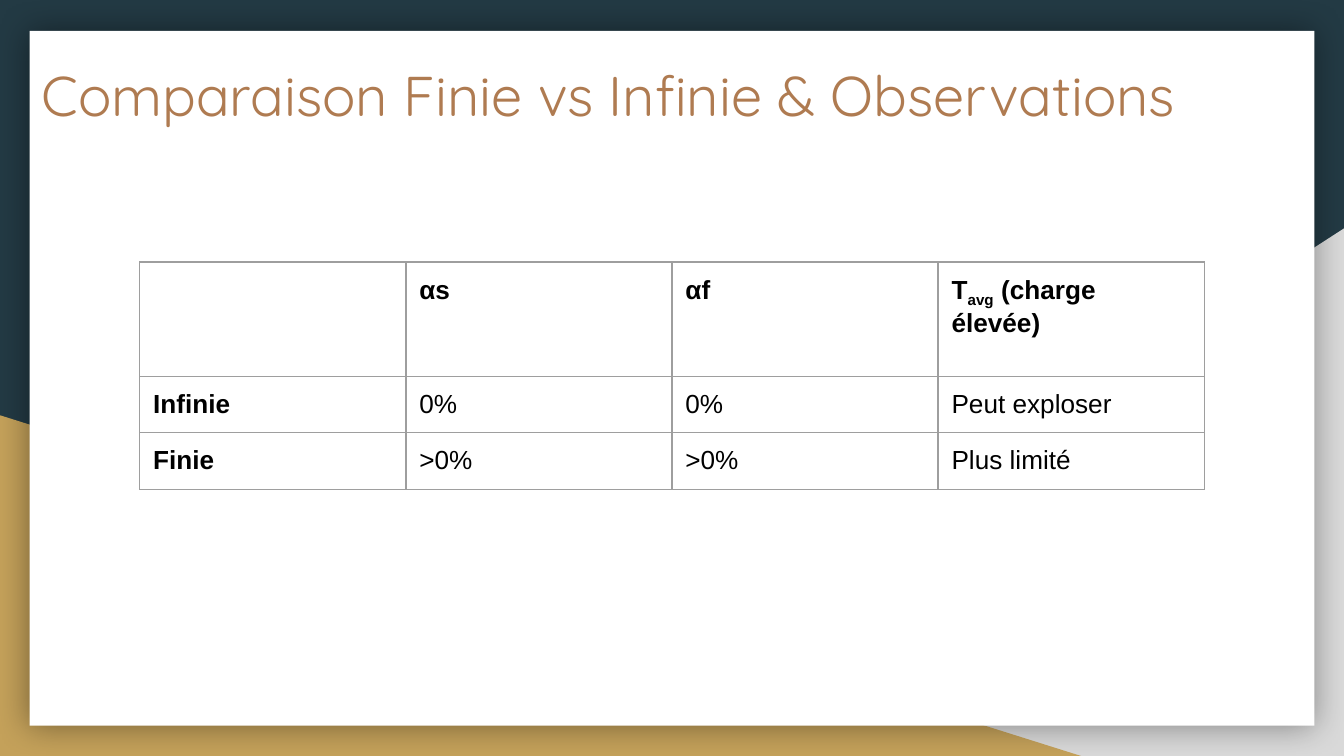
import pptx
import pptx.dml.color
import pptx.enum.shapes
import pptx.enum.text
import pptx.oxml
import pptx.oxml.ns
import pptx.util
from dataclasses import dataclass
from pptx.util import Inches

SHAPE = pptx.enum.shapes.MSO_SHAPE
NS = pptx.oxml.ns.nsdecls("a")


@dataclass(frozen=True)
class Theme:
    navy: str = "233A44"
    grey: str = "D9D9D9"
    gold: str = "C4A15A"
    white: str = "FFFFFF"
    brown: str = "AF7B51"
    black: str = "000000"
    rule: str = "9E9E9E"
    head: str = "Quicksand"
    body: str = "Arial"
    big: int = 30
    small: int = 14


THEME = Theme()

# Each cell is a list of runs: (text, bold, baseline in thousandths)
ROWS = [
    [[], [("αs", True, 0)], [("αf", True, 0)],
     [("T", True, 0), ("avg", True, -25000), (" (charge élevée)", True, 0)]],
    [[("Infinie", True, 0)], [("0%", False, 0)], [("0%", False, 0)],
     [("Peut exploser", False, 0)]],
    [[("Finie", True, 0)], [(">0%", False, 0)], [(">0%", False, 0)],
     [("Plus limité", False, 0)]],
]


def rgb(code):
    return pptx.dml.color.RGBColor.from_string(code)


def add_run(para, text, face, size, color, bold=False, base=0):
    run = para.add_run()
    run.text = text
    run.font.name = face
    run.font.size = pptx.util.Pt(size)
    run.font.bold = bold
    run.font.color.rgb = rgb(color)
    if base:
        run.font._element.set("baseline", str(base))


def add_block(slide, kind, left, top, width, height, color):
    block = slide.shapes.add_shape(
        kind, Inches(left), Inches(top), Inches(width), Inches(height))
    block.shadow.inherit = False
    block.fill.solid()
    block.fill.fore_color.rgb = rgb(color)
    block.line.fill.background()
    return block


def add_glow(block, blur, alpha):
    """Give the block a soft shadow on all sides."""
    effects = block._element.spPr.find(pptx.oxml.ns.qn("a:effectLst"))
    effects.append(pptx.oxml.parse_xml(
        f'<a:outerShdw {NS} blurRad="{pptx.util.Pt(blur)}" dist="0" '
        f'algn="ctr" rotWithShape="0"><a:srgbClr val="{THEME.black}">'
        f'<a:alpha val="{alpha * 1000}"/></a:srgbClr></a:outerShdw>'))


def add_back(slide):
    slide.background.fill.solid()
    slide.background.fill.fore_color.rgb = rgb(THEME.navy)
    wedge = add_block(slide, SHAPE.RIGHT_TRIANGLE,
                      3.92, 1.7, 6.08, 3.93, THEME.grey)
    wedge._element.spPr.xfrm.set("flipH", "1")
    add_block(slide, SHAPE.RIGHT_TRIANGLE, 0, 3.09, 8.06, 2.54, THEME.gold)
    card = add_block(slide, SHAPE.RECTANGLE,
                     0.22, 0.23, 9.56, 5.17, THEME.white)
    add_glow(card, 18, 40)


def set_title(slide, text):
    title = slide.shapes.title
    title.left, title.top = Inches(0.21), Inches(0.35)
    title.width, title.height = Inches(8.69), Inches(1.04)
    frame = title.text_frame
    frame.word_wrap = True
    frame.auto_size = pptx.enum.text.MSO_AUTO_SIZE.NONE
    frame.vertical_anchor = pptx.enum.text.MSO_ANCHOR.TOP
    frame.margin_left = frame.margin_right = Inches(0.1)
    frame.margin_top = frame.margin_bottom = Inches(0.1)
    para = frame.paragraphs[0]
    para.alignment = pptx.enum.text.PP_ALIGN.LEFT
    add_run(para, text, THEME.head, THEME.big, THEME.brown)
    # Bring the title in front of the card
    slide.shapes._spTree.append(title._element)


def set_cell(cell, runs):
    cell.margin_left = cell.margin_right = Inches(0.1)
    cell.margin_top = cell.margin_bottom = Inches(0.1)
    cell.vertical_anchor = pptx.enum.text.MSO_ANCHOR.TOP
    for text, bold, base in runs:
        add_run(cell.text_frame.paragraphs[0], text, THEME.body,
                THEME.small, THEME.black, bold, base)
    # Borders come before the fill in the cell properties
    props = cell._tc.get_or_add_tcPr()
    for side in ("lnL", "lnR", "lnT", "lnB"):
        props.append(pptx.oxml.parse_xml(
            f'<a:{side} {NS} w="{pptx.util.Pt(0.75)}"><a:solidFill>'
            f'<a:srgbClr val="{THEME.rule}"/></a:solidFill></a:{side}>'))
    cell.fill.background()


def add_grid(slide, rows, left, top, width, heights):
    count = len(rows[0])
    grid = slide.shapes.add_table(
        len(rows), count, Inches(left), Inches(top),
        Inches(width * count), Inches(sum(heights))).table
    grid.first_row = grid.horz_banding = False
    for col in grid.columns:
        col.width = Inches(width)
    for i, (row, height) in enumerate(zip(rows, heights)):
        grid.rows[i].height = Inches(height)
        for j, runs in enumerate(row):
            set_cell(grid.cell(i, j), runs)


def main():
    # Widescreen page, 16 to 9
    deck = pptx.Presentation()
    deck.slide_width, deck.slide_height = Inches(10), Inches(10 * 9 / 16)
    slide = deck.slides.add_slide(deck.slide_layouts[5])

    # Coloured corners and white card
    add_back(slide)

    # Title and comparison table
    set_title(slide, "Comparaison Finie vs Infinie & Observations")
    add_grid(slide, ROWS, 1.04, 1.95, 1.98, [0.85, 0.42, 0.42])

    deck.save("out.pptx")


if __name__ == "__main__":
    main()
